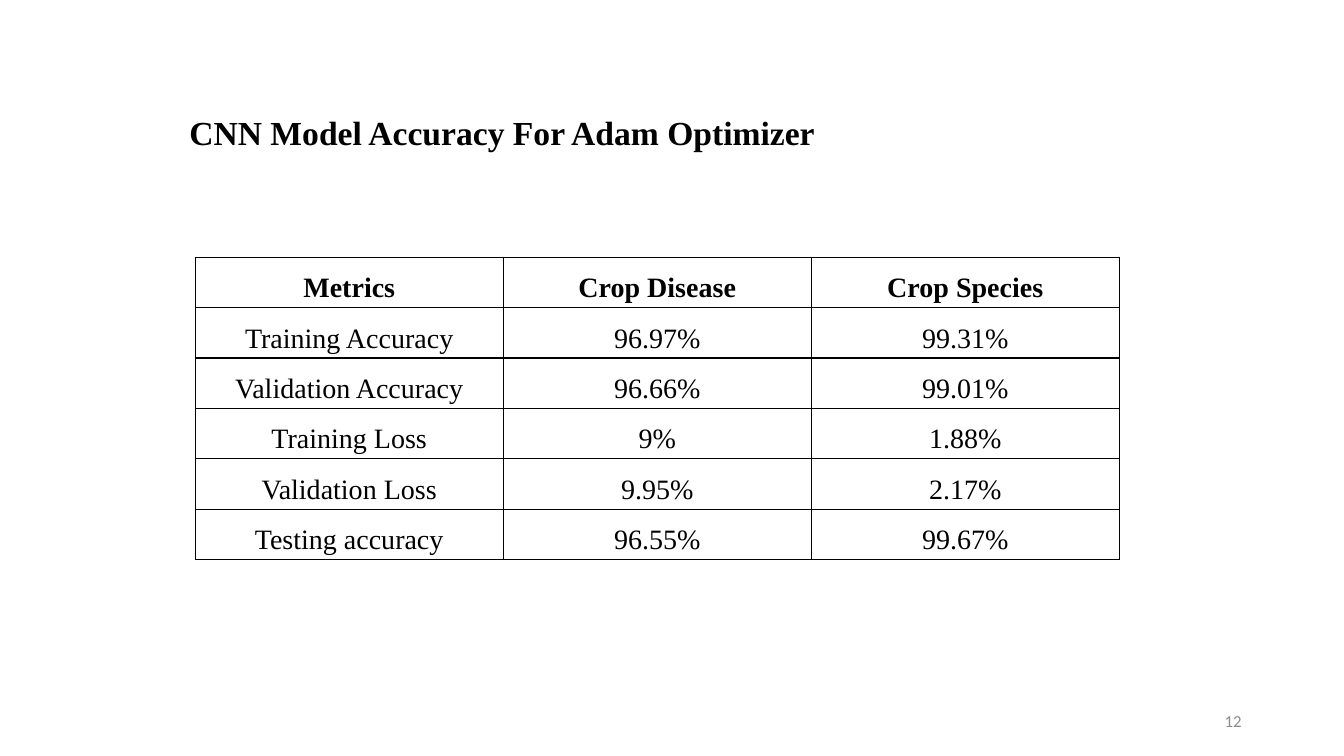
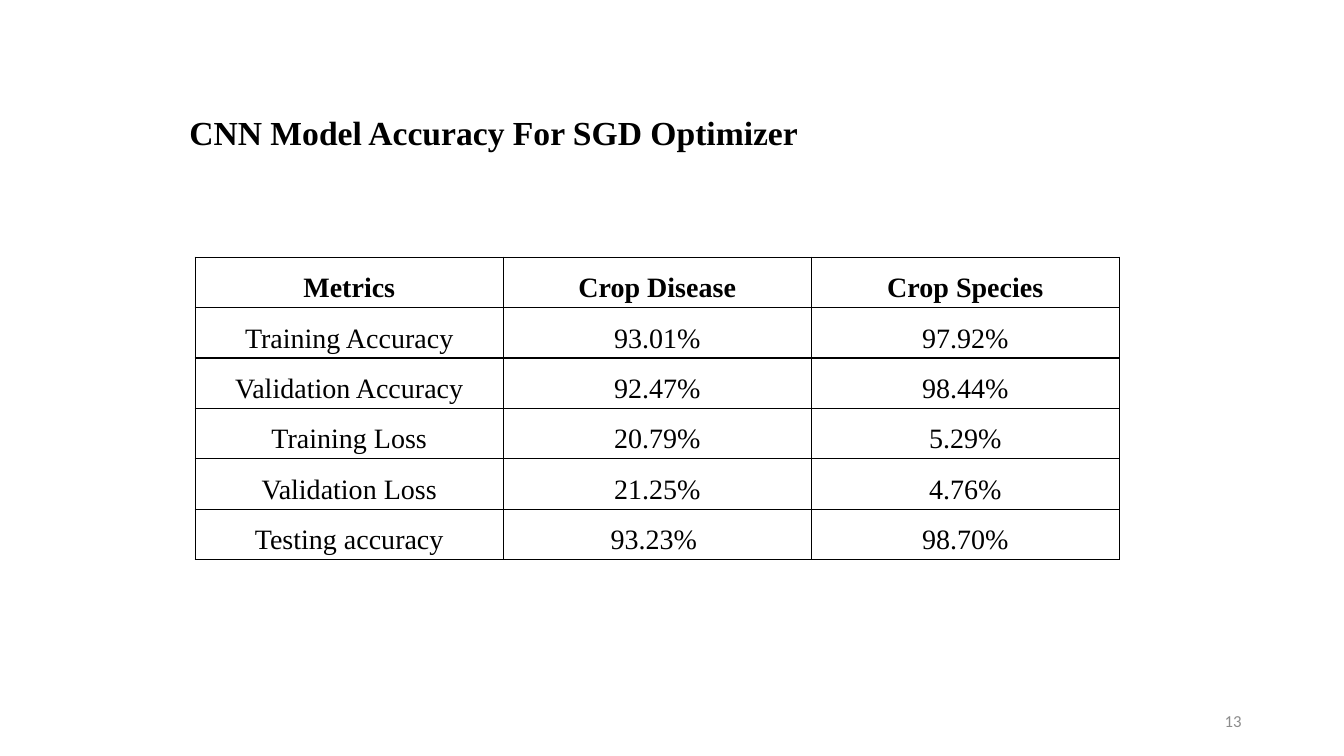
from lxml import etree
from pptx import Presentation
from pptx.dml.color import RGBColor
from pptx.enum.text import MSO_ANCHOR, MSO_AUTO_SIZE, PP_ALIGN
from pptx.oxml.ns import qn
from pptx.util import Pt

LEFT, CENTER, RIGHT = PP_ALIGN.LEFT, PP_ALIGN.CENTER, PP_ALIGN.RIGHT
TOP, MIDDLE = MSO_ANCHOR.TOP, MSO_ANCHOR.MIDDLE
NO_AUTOFIT = MSO_AUTO_SIZE.NONE

BLACK = RGBColor(0x00, 0x00, 0x00)
WHITE = RGBColor(0xFF, 0xFF, 0xFF)
GRAY = RGBColor(0x8C, 0x8C, 0x8C)

# Shared text formats
SERIF = "Times New Roman"
TITLE_FONT = {"name": SERIF, "size": Pt(24), "bold": True}
HEADER_FONT = {"name": SERIF, "size": Pt(20), "bold": True}
CELL_FONT = {"name": SERIF, "size": Pt(20), "bold": False}
NUMBER_FONT = {"name": "Calibri", "size": Pt(12)}

# Shared layout
SLIDE_WIDTH, SLIDE_HEIGHT = Pt(960), Pt(540)
TITLE_BOX = {"left": Pt(128), "top": Pt(76.5), "width": Pt(704), "height": Pt(36)}
NUMBER_BOX = {"left": Pt(678), "top": Pt(500.5), "width": Pt(216), "height": Pt(28.75)}
TABLE_LEFT, TABLE_TOP = Pt(139.5), Pt(183.75)
COLUMN_WIDTH, ROW_HEIGHT = Pt(220), Pt(36)
CELL_MARGINS = {"margin_left": Pt(5), "margin_right": Pt(5),
                "margin_top": 0, "margin_bottom": 0}
BORDER_WIDTH = Pt(1)
TITLE_ONLY_LAYOUT = 5

# Content
HEADERS = ["Metrics", "Crop Disease", "Crop Species"]
METRICS = ["Training Accuracy", "Validation Accuracy", "Training Loss",
           "Validation Loss", "Testing accuracy"]
FIRST_NUMBER = 12
RESULTS = [
    ("CNN Model Accuracy For Adam Optimizer",
     ["96.97%", "96.66%", "9%", "9.95%", "96.55%"],
     ["99.31%", "99.01%", "1.88%", "2.17%", "99.67%"]),
    ("CNN Model Accuracy For SGD Optimizer",
     ["93.01%", "92.47%", "20.79%", "21.25%", "93.23% "],
     ["97.92%", "98.44%", "5.29%", "4.76%", "98.70%"]),
]


def set_attributes(target, values):
    for name, value in values.items():
        setattr(target, name, value)


def write_text(text_frame, text, font, color, alignment):
    paragraph = text_frame.paragraphs[0]
    paragraph.alignment = alignment
    run = paragraph.add_run()
    run.text = text
    set_attributes(run.font, font)
    run.font.color.rgb = color
    return paragraph


def add_title(slide, text):
    title = slide.shapes.title
    set_attributes(title, TITLE_BOX)
    set_attributes(title.text_frame, {"word_wrap": True, "auto_size": NO_AUTOFIT,
                                      "vertical_anchor": TOP})
    write_text(title.text_frame, text, TITLE_FONT, BLACK, LEFT)


def add_slide_number(slide, number):
    text_frame = slide.shapes.add_textbox(**NUMBER_BOX).text_frame
    set_attributes(text_frame, {"word_wrap": True, "vertical_anchor": MIDDLE})
    write_text(text_frame, str(number), NUMBER_FONT, GRAY, RIGHT)


def add_borders(cell):
    # Border lines come before the fill in the cell properties
    properties = cell._tc.get_or_add_tcPr()
    for position, side in enumerate(("a:lnL", "a:lnR", "a:lnT", "a:lnB")):
        line = etree.Element(qn(side), w=str(BORDER_WIDTH))
        fill = etree.SubElement(line, qn("a:solidFill"))
        etree.SubElement(fill, qn("a:srgbClr"), val=str(BLACK))
        properties.insert(position, line)


def format_cell(cell, text, font):
    set_attributes(cell, CELL_MARGINS)
    cell.fill.solid()
    cell.fill.fore_color.rgb = WHITE
    add_borders(cell)
    paragraph = write_text(cell.text_frame, text, font, BLACK, CENTER)
    paragraph.line_spacing = 1.5


def add_metrics_table(slide, rows):
    table = slide.shapes.add_table(
        len(rows), len(HEADERS), TABLE_LEFT, TABLE_TOP,
        COLUMN_WIDTH * len(HEADERS), ROW_HEIGHT * len(rows)).table
    set_attributes(table, {"first_row": False, "horz_banding": False})
    for row_index, row in enumerate(rows):
        font = CELL_FONT if row_index else HEADER_FONT
        for column_index, text in enumerate(row):
            format_cell(table.cell(row_index, column_index), text, font)


def main():
    presentation = Presentation()
    presentation.slide_width = SLIDE_WIDTH
    presentation.slide_height = SLIDE_HEIGHT
    layout = presentation.slide_layouts[TITLE_ONLY_LAYOUT]
    for number, (title, disease, species) in enumerate(RESULTS, FIRST_NUMBER):
        slide = presentation.slides.add_slide(layout)
        add_title(slide, title)
        add_metrics_table(slide, [HEADERS, *zip(METRICS, disease, species)])
        add_slide_number(slide, number)
    presentation.save("out.pptx")


if __name__ == "__main__":
    main()
